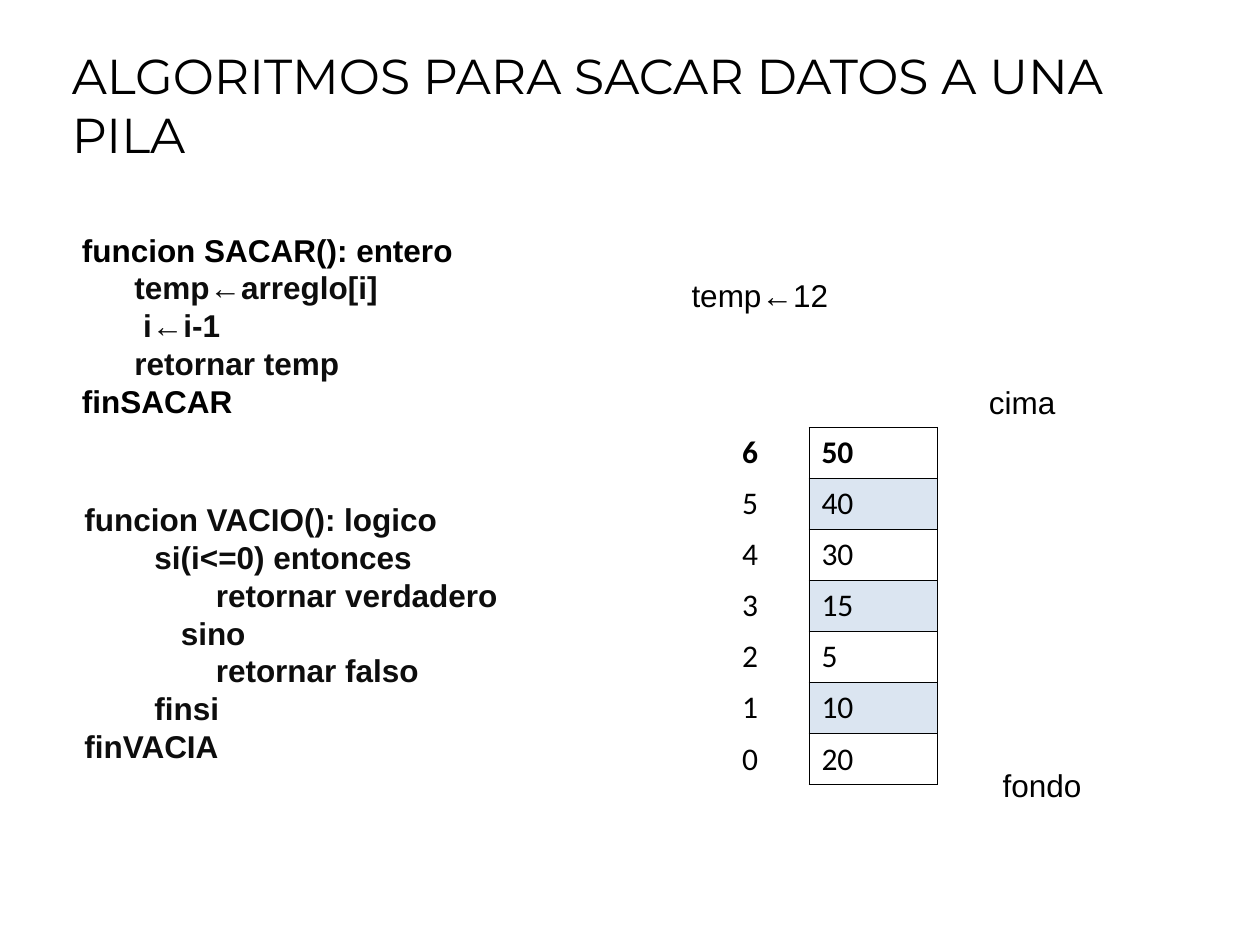
from lxml import etree
from pptx import Presentation
from pptx.dml.color import RGBColor
from pptx.enum.text import MSO_ANCHOR, MSO_AUTO_SIZE, PP_ALIGN
from pptx.oxml.ns import qn
from pptx.util import Inches, Pt

LEFT, TOP = PP_ALIGN.LEFT, MSO_ANCHOR.TOP
NO_AUTOFIT = MSO_AUTO_SIZE.NONE
BLACK = RGBColor(0x00, 0x00, 0x00)
SOFT_BLACK = RGBColor(0x0D, 0x0D, 0x0D)
WHITE = RGBColor(0xFF, 0xFF, 0xFF)
BAND_BLUE = RGBColor(0x4F, 0x81, 0xBD)
BAND_ALPHA = 20
BORDER_WIDTH = Pt(0.45)
SPACE_WIDTH = 0.0695

FRAME = {"word_wrap": True, "auto_size": NO_AUTOFIT, "vertical_anchor": TOP}
TITLE_FONT = {"name": "Montserrat", "size": Pt(28), "bold": False}
CODE_FONT = {"name": "Arial", "size": Pt(18), "bold": True}
LABEL_FONT = {"name": "Arial", "size": Pt(18), "bold": False}
CELL_FONT = {"name": "Calibri", "size": Pt(18)}
CODE_SPACING = {"space_before": Pt(0), "space_after": Pt(0), "line_spacing": 1.0}

TITLE = "ALGORITMOS PARA SACAR DATOS A UNA PILA"
POP_CODE = [
    (0, "funcion SACAR(): entero", BLACK),
    (6, "temp←arreglo[i]", SOFT_BLACK),
    (7, "i←i-1", SOFT_BLACK),
    (6, "retornar temp", SOFT_BLACK),
    (0, "finSACAR", BLACK),
]
EMPTY_CODE = [
    (0, "funcion VACIO(): logico", SOFT_BLACK),
    (8, "si(i<=0) entonces", SOFT_BLACK),
    (15, "retornar verdadero", SOFT_BLACK),
    (11, "sino", SOFT_BLACK),
    (15, "retornar falso", SOFT_BLACK),
    (8, "finsi", SOFT_BLACK),
    (0, "finVACIA", SOFT_BLACK),
]
STACK = [50, 40, 30, 15, 5, 10, 20]
LABELS = [
    ("cima", 7.75, 2.99),
    ("fondo", 7.86, 6.03),
    ("temp←12", 5.39, 2.14),
]


def apply_format(target, values):
    """Set every attribute in values on target."""
    for attribute, value in values.items():
        setattr(target, attribute, value)


def place(shape, left, top, width, height):
    """Position a shape, with lengths in inches."""
    box = {"left": left, "top": top, "width": width, "height": height}
    apply_format(shape, {side: Inches(length) for side, length in box.items()})


def write(paragraph, text, font, color):
    """Write one left-aligned run in the given font and colour."""
    paragraph.alignment = LEFT
    run = paragraph.add_run()
    run.text = text
    apply_format(run.font, font)
    run.font.color.rgb = color


def fill_title(title):
    """Write the slide title."""
    place(title, 0.47, 0.31, 8.59, 1.04)
    apply_format(title.text_frame, FRAME)
    write(title.text_frame.paragraphs[0], TITLE, TITLE_FONT, BLACK)


def fill_code(body, lines, box):
    """Write indented pseudocode without bullets in a body placeholder."""
    place(body, *box)
    frame = body.text_frame
    apply_format(frame, FRAME)
    for number, (spaces, text, color) in enumerate(lines):
        paragraph = frame.add_paragraph() if number else frame.paragraphs[0]
        apply_format(paragraph, CODE_SPACING)
        write(paragraph, text, CODE_FONT, color)
        properties = paragraph._p.get_or_add_pPr()
        properties.set("marL", str(Inches(spaces * SPACE_WIDTH)))
        properties.set("indent", "0")
        etree.SubElement(properties, qn("a:buNone"))


def add_label(slide, text, left, top):
    """Add a short label beside the stack."""
    label = slide.shapes.add_textbox(0, 0, 0, 0)
    place(label, left, top, 1.5, 0.4)
    apply_format(label.text_frame, FRAME)
    write(label.text_frame.paragraphs[0], text, LABEL_FONT, BLACK)


def add_borders(cell, sides):
    """Draw thin black borders on the given sides of a cell."""
    properties = cell._tc.get_or_add_tcPr()
    for position, side in enumerate(sides):
        line = etree.Element(qn(f"a:ln{side}"), w=str(BORDER_WIDTH))
        solid = etree.SubElement(line, qn("a:solidFill"))
        etree.SubElement(solid, qn("a:srgbClr"), val=str(BLACK))
        properties.insert(position, line)


def fill_cell(cell, color, alpha=100):
    """Fill a cell with a colour at the given opacity percentage."""
    cell.fill.solid()
    cell.fill.fore_color.rgb = color
    if alpha < 100:
        tint = cell._tc.tcPr.find(f".//{qn('a:srgbClr')}")
        etree.SubElement(tint, qn("a:alpha"), val=str(alpha * 1000))


def add_stack(slide):
    """Add the stack table with indexes counting down to zero."""
    frame = slide.shapes.add_table(
        len(STACK), 2, Inches(5.79), Inches(3.39), Inches(1.65), Inches(2.84)
    )
    table = frame.table
    apply_format(table, {"first_row": False, "horz_banding": False})
    for column, width in zip(table.columns, (0.63, 1.02)):
        column.width = Inches(width)
    for row, value in enumerate(STACK):
        index_cell, value_cell = table.cell(row, 0), table.cell(row, 1)
        font = {**CELL_FONT, "bold": row == 0}
        for cell, number in ((index_cell, len(STACK) - 1 - row), (value_cell, value)):
            write(cell.text_frame.paragraphs[0], str(number), font, BLACK)
        fill_cell(index_cell, WHITE)
        if row % 2:
            fill_cell(value_cell, BAND_BLUE, BAND_ALPHA)
        else:
            value_cell.fill.background()
        add_borders(index_cell, "R")
        add_borders(value_cell, "LRTB")


def main():
    """Build the slide and save it."""
    presentation = Presentation()
    apply_format(
        presentation, {"slide_width": Inches(10), "slide_height": Inches(7.5)}
    )
    slide = presentation.slides.add_slide(presentation.slide_layouts[3])
    title, pop_body, empty_body = slide.placeholders
    fill_title(title)
    fill_code(pop_body, POP_CODE, (0.55, 1.78, 3.2, 1.6))
    fill_code(empty_body, EMPTY_CODE, (0.57, 3.92, 3.83, 2.2))
    add_stack(slide)
    for label in LABELS:
        add_label(slide, *label)
    presentation.save("out.pptx")


if __name__ == "__main__":
    main()
